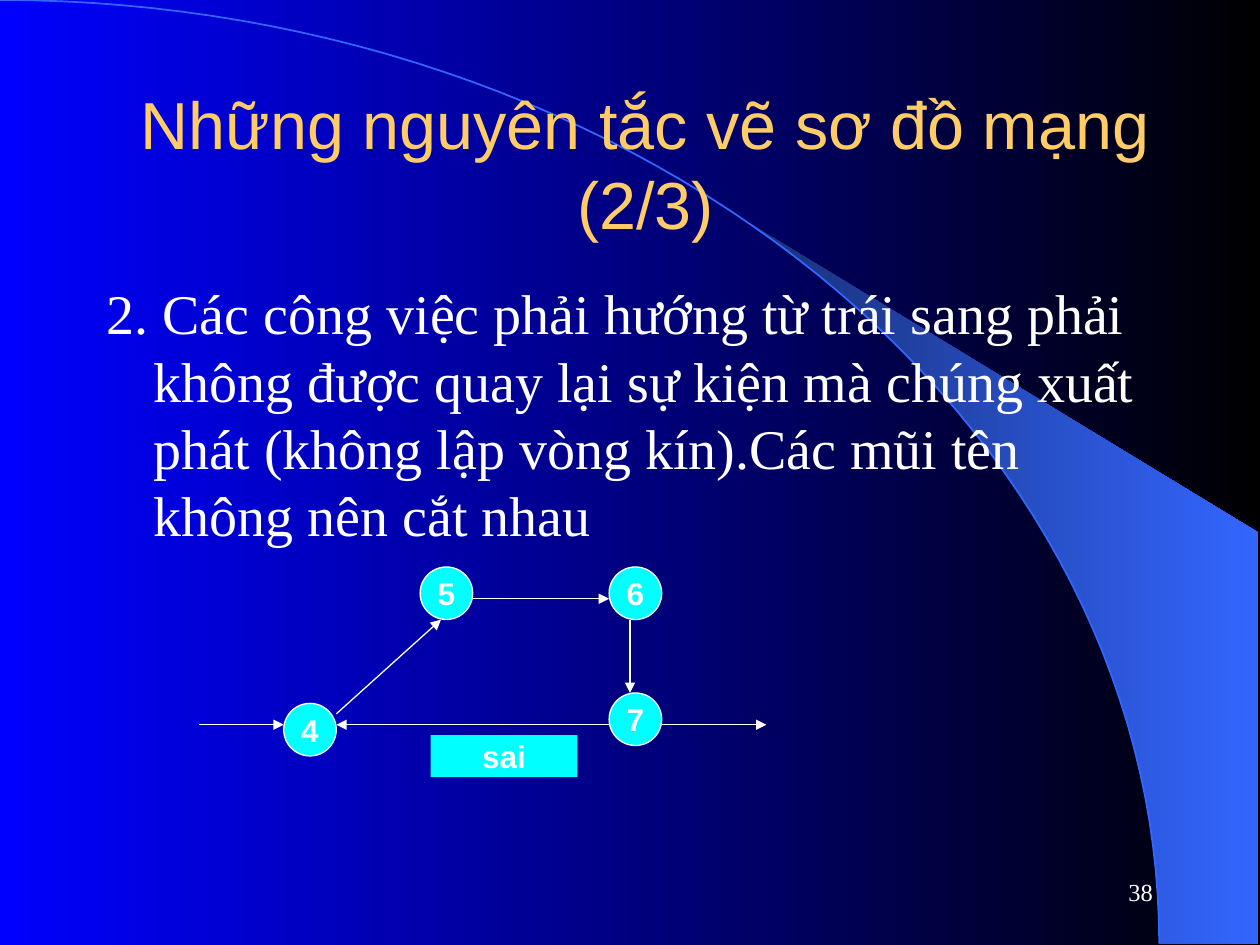
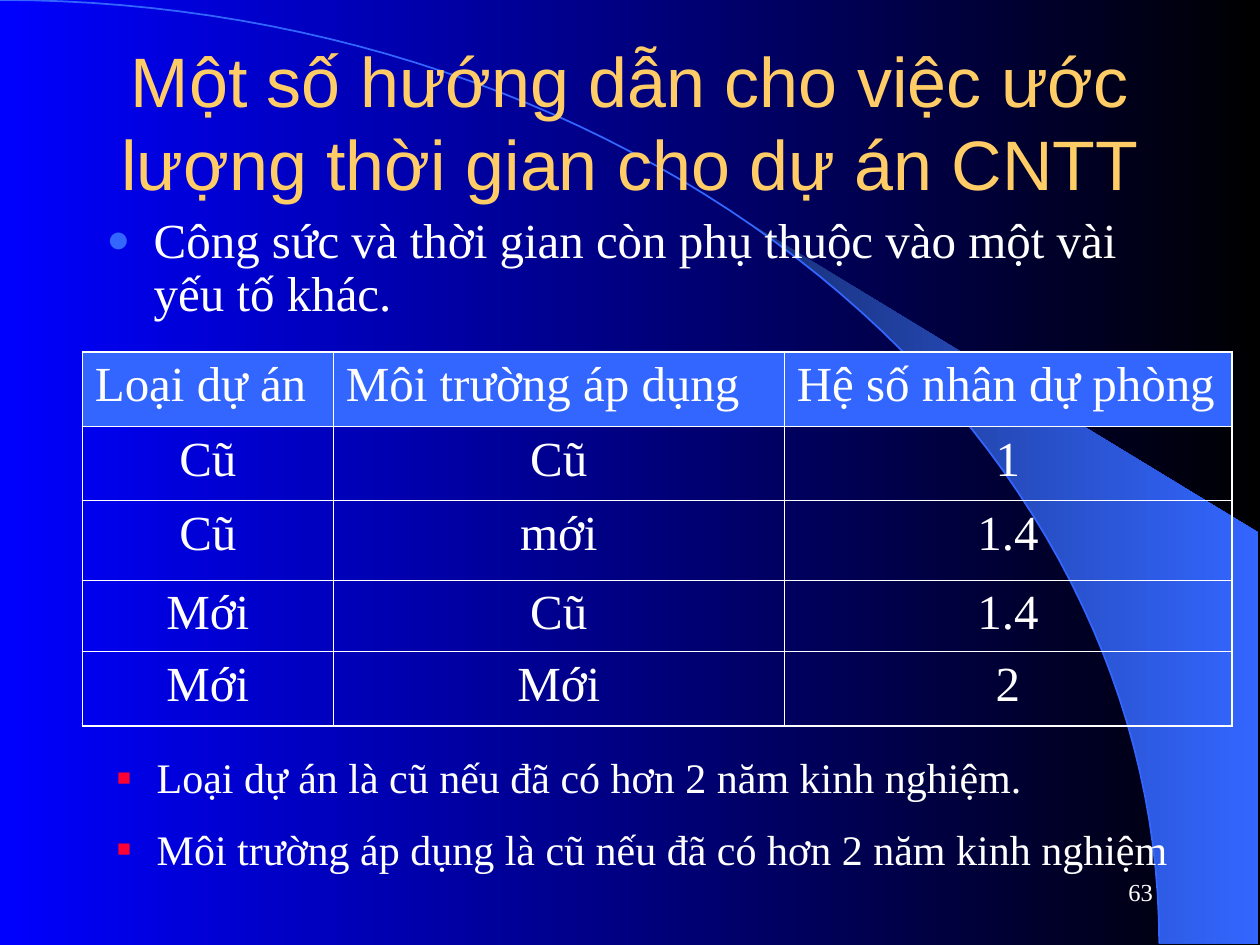
import math

import lxml.etree
import pptx
import pptx.dml.color
import pptx.enum.shapes
import pptx.enum.text
import pptx.oxml.ns
import pptx.util

Cm = pptx.util.Cm
Pt = pptx.util.Pt
RGB = pptx.dml.color.RGBColor
ALIGN = pptx.enum.text.PP_ALIGN
ANCHOR = pptx.enum.text.MSO_ANCHOR
SHAPE = pptx.enum.shapes.MSO_SHAPE
qn = pptx.oxml.ns.qn

BLUE = RGB(0x00, 0x00, 0xFF)
BLACK = RGB(0x00, 0x00, 0x00)
NAVY = RGB(0x18, 0x2F, 0x76)
ACCENT = RGB(0x33, 0x66, 0xFF)
GOLD = RGB(0xFF, 0xCC, 0x66)
WHITE = RGB(0xFF, 0xFF, 0xFF)
CYAN = RGB(0x00, 0xFF, 0xFF)
RED = RGB(0xFF, 0x00, 0x33)

SANS = "Arial"
SERIF = "Times New Roman"

SLIDE_W, SLIDE_H = 25.4, 19.05
ARC_W, ARC_H = 23.37, 19.02
BAND_ANGLE = 39.8
BAND_RIGHT, BAND_TOP = 25.37, 10.74

RULES = {
    "number": "38",
    "title": "Những nguyên tắc vẽ sơ đồ mạng (2/3)",
    "body": "2. Các công việc phải hướng từ trái sang phải không được quay lại sự kiện "
            "mà chúng xuất phát (không lập vòng kín).Các mũi tên không nên cắt nhau",
}
NODE = 1.06
NODES = {"4": (5.72, 14.18), "5": (8.47, 11.43), "6": (12.28, 11.43), "7": (12.28, 13.97)}
WRONG = ("sai", (8.68, 14.82, 2.96, 0.85))
BOTTOM_Y, TOP_Y = 14.61, 12.07

ESTIMATES = {
    "number": "63",
    "title": "Một số hướng dẫn cho việc ước lượng thời gian cho dự án CNTT",
    "body": "Công sức và thời gian còn phụ thuộc vào một vài yếu tố khác.",
    "notes": ["Loại dự án là cũ nếu đã có hơn 2 năm kinh nghiệm.",
              "Môi trường áp dụng là cũ nếu đã có hơn 2 năm kinh nghiệm"],
}
FACTORS = [
    ("Loại dự án", "Môi trường áp dụng", "Hệ số nhân dự phòng"),
    ("Cũ", "Cũ", "1"),
    ("Cũ", "mới", "1.4"),
    ("Mới", "Cũ", "1.4"),
    ("Mới", "Mới", "2"),
]
COLS = [5.06, 9.09, 9.02]
ROWS = [1.5, 1.5, 1.6, 1.45, 1.5]
THIN, THICK = 0.45, 1.08


def gradient(fill, start, end):
    fill.gradient()
    fill.gradient_angle = 0
    for stop, color in zip(fill.gradient_stops, (start, end)):
        stop.color.rgb = color


def style(p, size, font, color, align=ALIGN.LEFT, bold=False):
    p.alignment = align
    for r in p.runs:
        r.font.size = Pt(size)
        r.font.name = font
        r.font.color.rgb = color
        r.font.bold = bold


def hang(p, margin, indent, bullet=None):
    pPr = p._p.get_or_add_pPr()
    pPr.set("marL", str(Cm(margin)))
    pPr.set("indent", str(Cm(indent)))
    if bullet:
        char, color, percent = bullet
        clr = lxml.etree.SubElement(pPr, qn("a:buClr"))
        lxml.etree.SubElement(clr, qn("a:srgbClr"), val=str(color))
        lxml.etree.SubElement(pPr, qn("a:buSzPct"), val=str(percent * 1000))
        lxml.etree.SubElement(pPr, qn("a:buFont"), typeface=SERIF)
        lxml.etree.SubElement(pPr, qn("a:buChar"), char=char)


def add_text(s, box, lines, anchor=ANCHOR.TOP):
    tf = s.shapes.add_textbox(*map(Cm, box)).text_frame
    tf.word_wrap = True
    tf.vertical_anchor = anchor
    tf.text = "\n".join(lines)
    return tf.paragraphs


def arc(start):
    angles = [math.radians(start + (90 - start) * i / 60) for i in range(61)]
    return [(ARC_W * math.sin(a), ARC_H * (1 - math.cos(a))) for a in angles]


def add_outline(s, points, close):
    points = [(Cm(x), Cm(y)) for x, y in points]
    builder = s.shapes.build_freeform(*points[0], scale=1.0)
    builder.add_line_segments(points[1:], close=close)
    sp = builder.convert_to_shape()
    sp.shadow.inherit = False
    return sp


def add_slide(prs, content, title_box, title_size):
    s = prs.slides.add_slide(prs.slide_layouts[6])
    band = add_outline(
        s, arc(BAND_ANGLE) + [(BAND_RIGHT, ARC_H), (BAND_RIGHT, BAND_TOP)], True)
    gradient(band.fill, NAVY, ACCENT)
    band.line.fill.background()
    curve = add_outline(s, arc(0), False)
    curve.fill.background()
    curve.line.color.rgb = ACCENT
    curve.line.width = Pt(1)
    p = add_text(s, (18.21, 17.35, 5.28, 1.27), [content["number"]], ANCHOR.MIDDLE)[0]
    style(p, 14, SERIF, WHITE, ALIGN.RIGHT)
    p = add_text(s, title_box, [content["title"]], ANCHOR.MIDDLE)[0]
    style(p, title_size, SANS, GOLD, ALIGN.CENTER)
    return s


def add_label(s, kind, box, text, outlined):
    sp = s.shapes.add_shape(kind, *map(Cm, box))
    sp.shadow.inherit = False
    sp.fill.solid()
    sp.fill.fore_color.rgb = CYAN
    if outlined:
        sp.line.color.rgb = WHITE
        sp.line.width = Pt(0.75)
    else:
        sp.line.fill.background()
    tf = sp.text_frame
    tf.word_wrap = False
    tf.vertical_anchor = ANCHOR.MIDDLE
    tf.text = text
    style(tf.paragraphs[0], 18, SANS, WHITE, ALIGN.CENTER, True)


def add_arrow(s, start, end):
    line = s.shapes.add_connector(
        pptx.enum.shapes.MSO_CONNECTOR.STRAIGHT, *map(Cm, start + end))
    line.line.color.rgb = WHITE
    line.line.width = Pt(0.75)
    lxml.etree.SubElement(line.line._get_or_add_ln(), qn("a:tailEnd"), type="triangle")
    lxml.etree.SubElement(line._element.spPr, qn("a:effectLst"))


def add_network(s):
    for name, (x, y) in NODES.items():
        add_label(s, SHAPE.OVAL, (x, y, NODE, NODE), name, True)
    left = {name: x for name, (x, y) in NODES.items()}
    right = {name: x + NODE for name, x in left.items()}
    top = {name: y for name, (x, y) in NODES.items()}
    arrows = [
        ((4.02, BOTTOM_Y), (left["4"], BOTTOM_Y)),
        ((left["7"], BOTTOM_Y), (right["4"], BOTTOM_Y)),
        ((right["4"], 14.39), (8.89, top["5"] + NODE)),
        ((right["5"], TOP_Y), (left["6"], TOP_Y)),
        ((12.7, top["6"] + NODE), (12.7, top["7"])),
        ((right["7"], BOTTOM_Y), (15.45, BOTTOM_Y)),
    ]
    for start, end in arrows:
        add_arrow(s, start, end)
    text, box = WRONG
    add_label(s, SHAPE.RECTANGLE, box, text, False)


def set_borders(cell, widths):
    tcPr = cell._tc.get_or_add_tcPr()
    for side, width in widths.items():
        ln = lxml.etree.SubElement(tcPr, qn("a:ln" + side), w=str(Pt(width)))
        fill = lxml.etree.SubElement(ln, qn("a:solidFill"))
        lxml.etree.SubElement(fill, qn("a:srgbClr"), val=str(WHITE))


def add_factor_table(s):
    table = s.shapes.add_table(
        len(ROWS), len(COLS), Cm(1.66), Cm(7.09), Cm(sum(COLS)), Cm(sum(ROWS))).table
    table.horz_banding = False
    for column, width in zip(table.columns, COLS):
        column.width = Cm(width)
    for i, (row, height) in enumerate(zip(table.rows, ROWS)):
        row.height = Cm(height)
        for j, cell in enumerate(row.cells):
            outer = {"L": j == 0, "R": j == len(COLS) - 1,
                     "T": i == 0, "B": i == len(ROWS) - 1}
            set_borders(cell, {side: THICK if edge else THIN for side, edge in outer.items()})
            if i == 0:
                cell.fill.solid()
                cell.fill.fore_color.rgb = ACCENT
            else:
                cell.fill.background()
            cell.text = FACTORS[i][j]
            style(cell.text_frame.paragraphs[0], 28, SERIF, WHITE,
                  ALIGN.CENTER if i else ALIGN.LEFT)


def main():
    prs = pptx.Presentation()
    prs.slide_width, prs.slide_height = Cm(SLIDE_W), Cm(SLIDE_H)
    gradient(prs.slide_master.background.fill, BLUE, BLACK)

    s = add_slide(prs, RULES, (1.9, 1.7, 22.23, 3.18), 38)
    p = add_text(s, (1.9, 5.5, 21.59, 11.43), [RULES["body"]])[0]
    hang(p, 0.95, -0.95)
    style(p, 32, SERIF, WHITE)
    add_network(s)

    s = add_slide(prs, ESTIMATES, (1.9, 0.85, 21.59, 3.18), 40)
    p = add_text(s, (1.9, 4.23, 21.59, 2.54), [ESTIMATES["body"]])[0]
    hang(p, 0.95, -0.95, ("●", ACCENT, 80))
    p.line_spacing = 0.9
    style(p, 28, SERIF, WHITE)
    add_factor_table(s)
    for i, p in enumerate(add_text(s, (1.45, 15.14, 23.27, 2.62), ESTIMATES["notes"])):
        hang(p, 1.46, -0.8, ("■", RED, 55))
        p.line_spacing = 0.9
        p.space_before = Pt(15 if i else 0)
        style(p, 24, SERIF, WHITE)

    prs.save("out.pptx")


if __name__ == "__main__":
    main()
